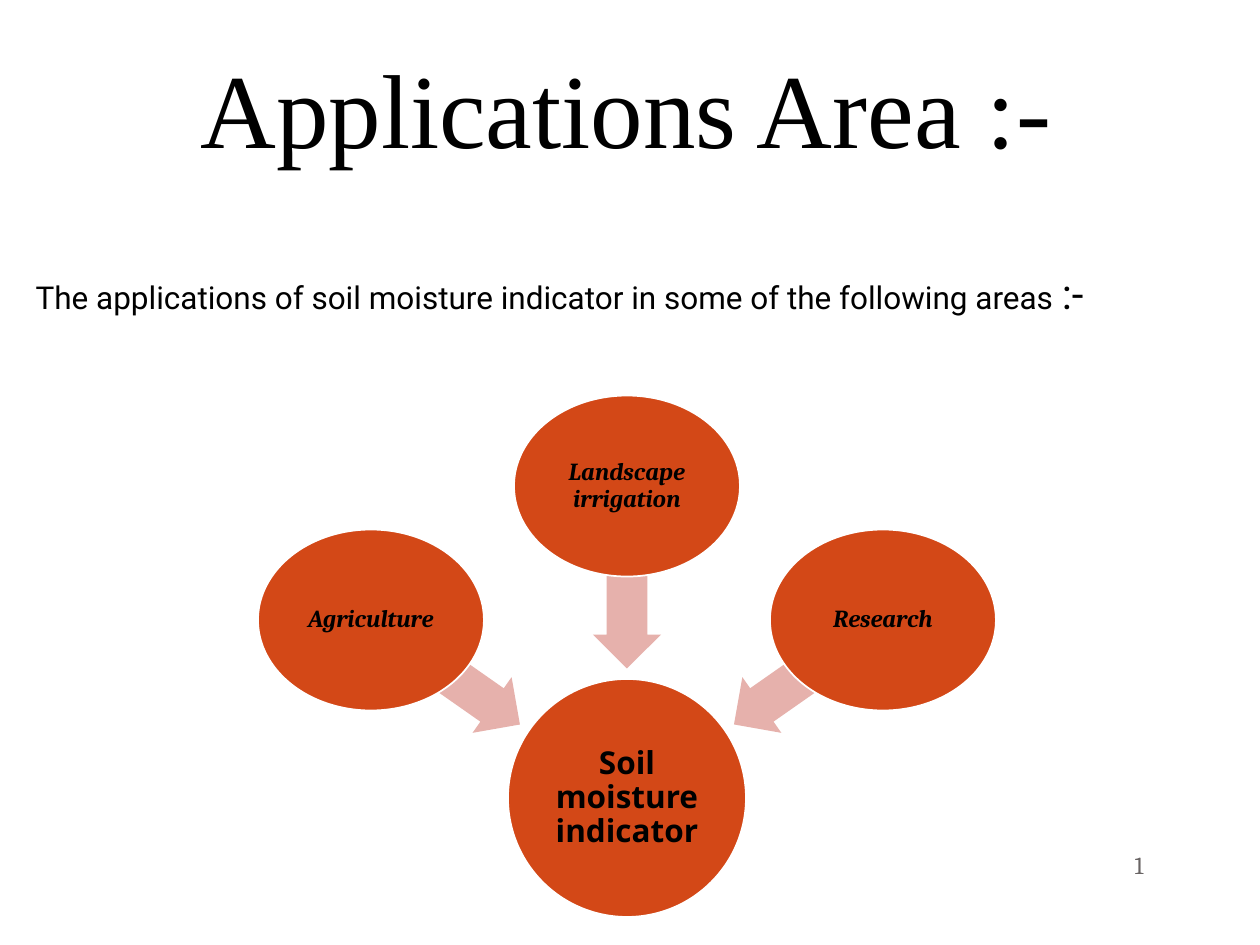
from dataclasses import dataclass
from lxml import etree
from pptx import Presentation
from pptx.dml.color import RGBColor
from pptx.enum.shapes import MSO_SHAPE
from pptx.enum.text import MSO_ANCHOR, MSO_AUTO_SIZE, PP_ALIGN
from pptx.oxml.ns import qn
from pptx.util import Pt

OVAL, LEFT_ARROW = MSO_SHAPE.OVAL, MSO_SHAPE.LEFT_ARROW
MIDDLE, TOP = MSO_ANCHOR.MIDDLE, MSO_ANCHOR.TOP
LEFT, CENTER, RIGHT = PP_ALIGN.LEFT, PP_ALIGN.CENTER, PP_ALIGN.RIGHT
NO_FIT = MSO_AUTO_SIZE.NONE
EMU_PER_PX = 914400 / 126


@dataclass(frozen=True)
class Theme:
    ink: RGBColor = RGBColor.from_string("000000")
    muted: RGBColor = RGBColor.from_string("696464")
    node: RGBColor = RGBColor.from_string("D34817")
    outline: RGBColor = RGBColor.from_string("FFFFFF")
    arrow: RGBColor = RGBColor.from_string("E6B1AC")
    title: Pt = Pt(60)
    dash: Pt = Pt(24)
    lead: Pt = Pt(18)
    small: Pt = Pt(14)


theme = Theme()


def px(*lengths):
    return [round(length * EMU_PER_PX) for length in lengths]


def style(shape, font_name, size, color, align, anchor=MIDDLE, bold=None, italic=None):
    shape.text_frame.vertical_anchor = anchor
    paragraph = shape.text_frame.paragraphs[0]
    paragraph.alignment = align
    font = paragraph.font
    font.name, font.size, font.bold, font.italic = font_name, size, bold, italic
    font.color.rgb = color
    return paragraph


prs = Presentation()
prs.slide_width, prs.slide_height = px(1260, 945)
slide = prs.slides.add_slide(prs.slide_layouts[0])
shapes = slide.shapes

heading = shapes.title
heading.left, heading.top, heading.width, heading.height = px(45, 8, 1162, 203)
heading.text_frame.text = "Applications Area :-"
heading.text_frame.auto_size = NO_FIT
heading.text_frame.margin_bottom = px(13)[0]
style(heading, "Times New Roman", theme.title, theme.ink, CENTER)

lead = slide.placeholders[1]
lead.left, lead.top, lead.width, lead.height = px(23, 261, 1099, 63)
lead.text_frame.auto_size = NO_FIT
lead.text_frame.word_wrap = False
sentence = style(lead, "Roboto", theme.lead, theme.ink, LEFT, TOP)
sentence.space_before = Pt(0)
sentence.add_run().text = "The applications of soil moisture indicator in some of the following areas "
dash = sentence.add_run()
dash.text = ":-"
dash.font.size = theme.dash

page = shapes.add_textbox(*px(809, 840, 347, 50))
page_line = style(page, "Cambria", theme.small, theme.muted, RIGHT)
field = etree.SubElement(page_line._p, qn("a:fld"),
                         id="{B6F15528-21DE-4FAA-801E-634DDDAF4B2B}", type="slidenum")
properties = etree.SubElement(field, qn("a:rPr"), lang="en-US", sz=str(int(theme.small.pt * 100)))
fill = etree.SubElement(properties, qn("a:solidFill"))
etree.SubElement(fill, qn("a:srgbClr"), val=str(theme.muted))
etree.SubElement(properties, qn("a:latin"), typeface="Cambria")
etree.SubElement(field, qn("a:t")).text = "1"

center_x = 627
areas = [
    ("Agriculture", -256, 620, -182, 672, 215),
    ("Landscape irrigation", 0, 486, 0, 577, 270),
    ("Research", 256, 620, 182, 672, 325),
]
nodes = [("Soil moisture indicator", 0, 798, 238, 238, 1, "Open Sans", theme.lead, None)]
for area, dx, y, arrow_dx, arrow_y, angle in areas:
    arrow = shapes.add_shape(LEFT_ARROW, *px(center_x + arrow_dx - 91.5, arrow_y - 34, 183, 68))
    arrow.shadow.inherit = False
    arrow.adjustments[0], arrow.adjustments[1] = 0.6, 0.5
    arrow.rotation = angle
    arrow.fill.solid()
    arrow.fill.fore_color.rgb = theme.arrow
    arrow.line.fill.background()
    nodes.append((area, dx, y, 226, 181, 4, "Cambria", theme.small, True))

for label, dx, y, width, height, inset, font_name, size, italic in nodes:
    node = shapes.add_shape(OVAL, *px(center_x + dx - width / 2, y - height / 2, width, height))
    node.shadow.inherit = False
    node.fill.solid()
    node.fill.fore_color.rgb = theme.node
    node.line.color.rgb = theme.outline
    node.line.width = Pt(1)
    frame = node.text_frame
    frame.text = label
    frame.word_wrap = True
    frame.margin_left, frame.margin_top, frame.margin_right, frame.margin_bottom = px(*[inset] * 4)
    style(node, font_name, size, theme.ink, CENTER, bold=True, italic=italic).line_spacing = 0.9

prs.save("out.pptx")
